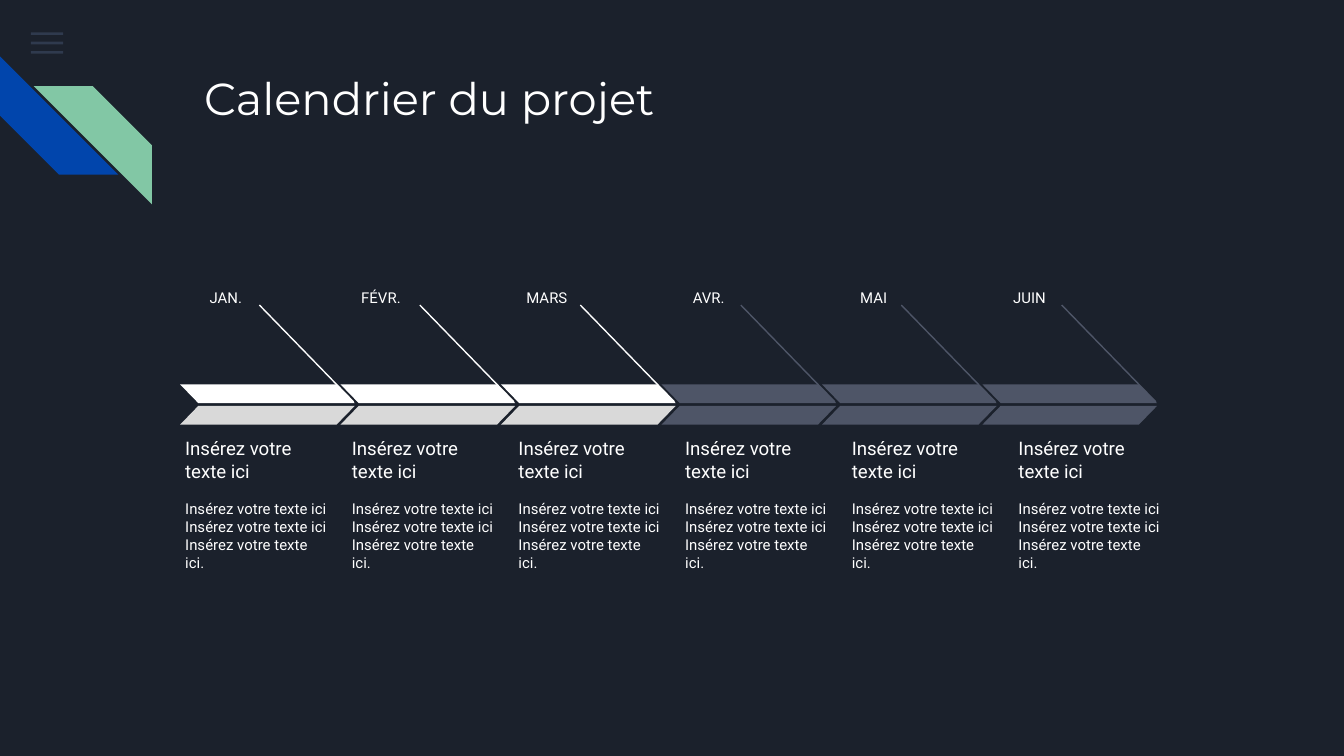
import pptx
import pptx.dml.color
import pptx.enum.shapes
import pptx.enum.text
import pptx.oxml
import pptx.oxml.ns
import pptx.util
from pptx.util import Inches

SHAPES = pptx.enum.shapes.MSO_SHAPE
ALIGN = pptx.enum.text.PP_ALIGN
ANCHOR = pptx.enum.text.MSO_ANCHOR
FIT = pptx.enum.text.MSO_AUTO_SIZE

BACKGROUND = "1B212C"
WHITE = "FFFFFF"
LIGHT_GREY = "D9D9D9"
SLATE = "4E5567"
MONTHS = [
    ("JAN.", 1.31), ("FÉVR.", 2.49), ("MARS", 3.73),
    ("AVR.", 4.9), ("MAI", 6.11), ("JUIN", 7.29),
]
DONE_MONTHS = 3
HEADING = "Insérez votre texte ici"
DETAIL = f"{HEADING} {HEADING} {HEADING}."
BAND_LEFT, BAND_STEP = 1.34, 5.97 / 5
COLUMN_LEFT, COLUMN_STEP = 1.28, 1.24


def paint(color_owner, color):
    color_owner.solid()
    color_owner.fore_color.rgb = pptx.dml.color.RGBColor.from_string(color)


def add_block(slide, preset, left, top, width, height, color,
              slant=None, flipped=False):
    block = slide.shapes.add_shape(
        preset, Inches(left), Inches(top), Inches(width), Inches(height))
    block.shadow.inherit = False
    paint(block.fill, color)
    block.line.fill.background()
    if slant is not None:
        block.adjustments[0] = slant
    if flipped:
        block.element.spPr.find(pptx.oxml.ns.qn("a:xfrm")).set("flipH", "1")
    return block


def add_text(slide, text, left, top, width, height, size, font="Roboto",
             align=ALIGN.LEFT, anchor=ANCHOR.TOP, fit=FIT.NONE):
    box = slide.shapes.add_textbox(
        Inches(left), Inches(top), Inches(width), Inches(height))
    frame = box.text_frame
    frame.word_wrap = True
    frame.auto_size = fit
    frame.vertical_anchor = anchor
    frame.margin_left = frame.margin_right = Inches(0.1)
    frame.margin_top = frame.margin_bottom = Inches(0.1)
    frame.text = text
    paragraph = frame.paragraphs[0]
    paragraph.alignment = align
    run = paragraph.runs[0]
    run.font.size = pptx.util.Pt(size)
    run.font.name = font
    paint(run.font.fill, WHITE)


def add_pointer(slide, left, top, right, bottom, color):
    pointer = slide.shapes.add_connector(
        pptx.enum.shapes.MSO_CONNECTOR.STRAIGHT,
        Inches(left), Inches(top), Inches(right), Inches(bottom))
    paint(pointer.line.fill, color)
    pointer.line.width = pptx.util.Pt(0.75)
    pointer.element.spPr.append(pptx.oxml.parse_xml(
        f"<a:effectLst {pptx.oxml.ns.nsdecls('a')}/>"))


def add_menu_icon(slide):
    for row in range(3):
        bar = add_block(slide, SHAPES.RECTANGLE,
                        0.23, 0.24 + 0.07 * row, 0.24, 0.02, "55688B")
        tint = bar.element.spPr.find(".//" + pptx.oxml.ns.qn("a:srgbClr"))
        tint.append(pptx.oxml.parse_xml(
            f'<a:alpha {pptx.oxml.ns.nsdecls("a")} val="36000"/>'))


def add_corner_stripes(slide):
    blue_stripe = add_block(slide, SHAPES.DIAGONAL_STRIPE,
                            0, 0.42, 0.88, 0.88, "0145AC", 0.5)
    blue_stripe.rotation = 270
    add_block(slide, SHAPES.DIAGONAL_STRIPE,
              0.25, 0.64, 0.88, 0.88, "82C7A5", 0.5, flipped=True)


def add_month_band(slide, left, upper_color, lower_color):
    add_pointer(slide, left + 0.59, 2.27, left + 1.29, 2.99, upper_color)
    add_block(slide, SHAPES.PARALLELOGRAM,
              left, 2.86, 1.3, 0.14, upper_color, 0.97, flipped=True)
    add_block(slide, SHAPES.PARALLELOGRAM,
              left, 3.02, 1.3, 0.14, lower_color, 0.97)


def add_month_texts(slide, month, month_left, column_left):
    add_text(slide, month, month_left, 2.08, 0.59, 0.23, 8,
             align=ALIGN.RIGHT, fit=FIT.SHAPE_TO_FIT_TEXT)
    add_text(slide, HEADING, column_left, 3.2, 1.24, 0.44, 10,
             anchor=ANCHOR.MIDDLE)
    add_text(slide, DETAIL, column_left, 3.62, 1.27, 0.73, 8)


def main():
    presentation = pptx.Presentation()
    presentation.slide_width = Inches(10)
    presentation.slide_height = Inches(10 * 9 / 16)
    slide = presentation.slides.add_slide(presentation.slide_layouts[6])
    paint(slide.background.fill, BACKGROUND)

    add_menu_icon(slide)
    add_corner_stripes(slide)
    add_text(slide, "Calendrier du projet", 1.42, 0.43, 7.7, 1, 24,
             font="Montserrat")
    for index in range(len(MONTHS)):
        done = index < DONE_MONTHS
        add_month_band(slide, BAND_LEFT + BAND_STEP * index,
                       WHITE if done else SLATE,
                       LIGHT_GREY if done else SLATE)
    for index, (month, month_left) in enumerate(MONTHS):
        add_month_texts(slide, month, month_left,
                        COLUMN_LEFT + COLUMN_STEP * index)

    presentation.save("out.pptx")


if __name__ == "__main__":
    main()
